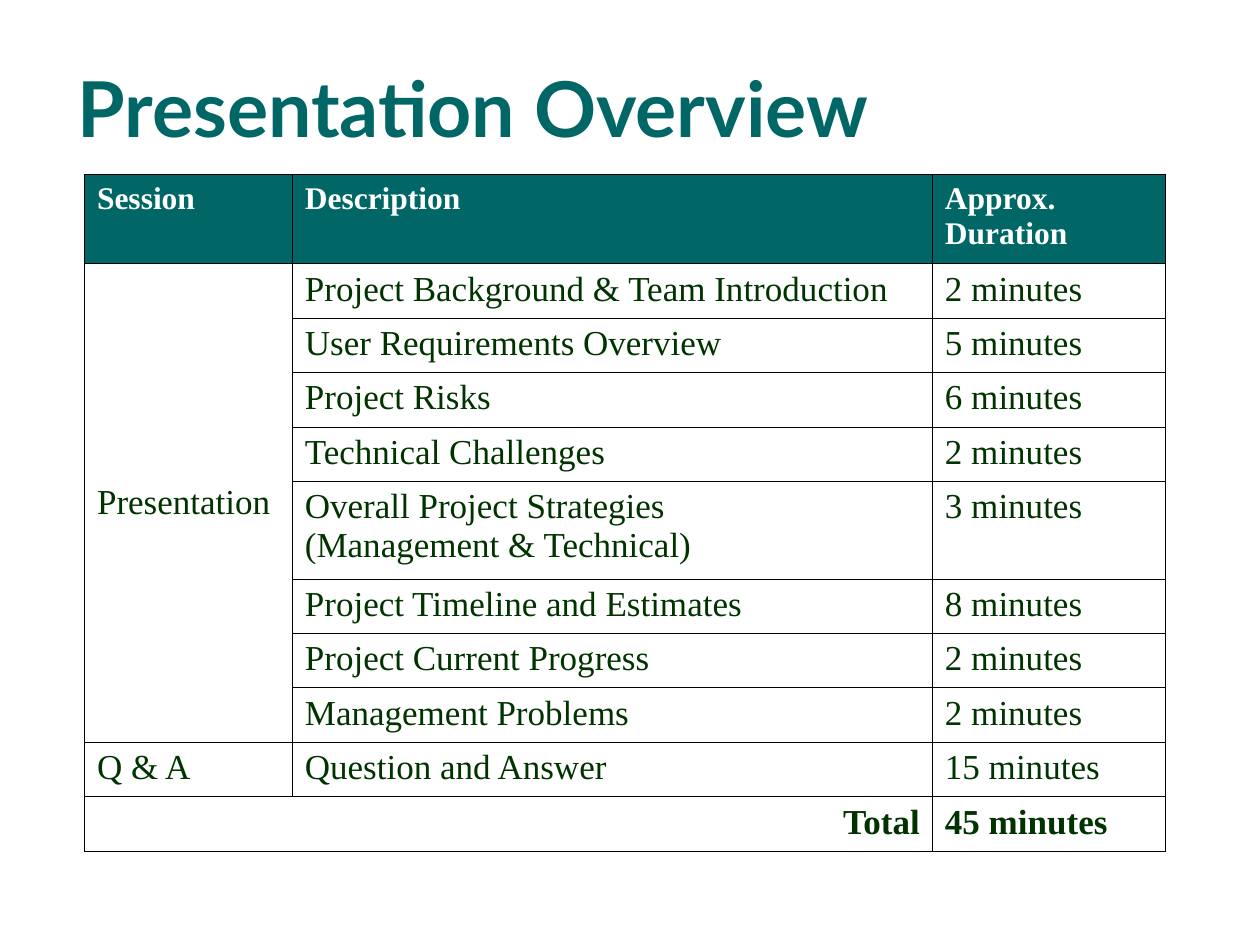
import pptx
import pptx.dml.color
import pptx.enum.text
import pptx.oxml
import pptx.oxml.ns
import pptx.util

TEAL, GREEN, WHITE, BLACK = "006666", "003300", "FFFFFF", "000000"
LEFT, RIGHT = pptx.enum.text.PP_ALIGN.LEFT, pptx.enum.text.PP_ALIGN.RIGHT
TOP, MIDDLE = pptx.enum.text.MSO_ANCHOR.TOP, pptx.enum.text.MSO_ANCHOR.MIDDLE

HEADINGS = ["Session", "Description", "Approx.\nDuration"]
PRESENTATION_ITEMS = [
    ("Project Background & Team Introduction", 2),
    ("User Requirements Overview", 5),
    ("Project Risks", 6),
    ("Technical Challenges", 2),
    ("Overall Project Strategies\n(Management & Technical)", 3),
    ("Project Timeline and Estimates", 8),
    ("Project Current Progress", 2),
    ("Management Problems", 2),
]


def color(value):
    return pptx.dml.color.RGBColor.from_string(value)


def write_text(text_frame, text, font="Times New Roman", size=20, fill=GREEN,
               bold=False, align=LEFT, hanging=0):
    text_frame.text = text
    for paragraph in text_frame.paragraphs:
        paragraph.alignment = align
        if hanging:
            indent = pptx.util.Inches(hanging)
            properties = paragraph._p.get_or_add_pPr()
            properties.set("marL", str(indent))
            properties.set("indent", str(-indent))
        for run in paragraph.runs:
            run.font.name = font
            run.font.size = pptx.util.Pt(size)
            run.font.bold = bold
            run.font.color.rgb = color(fill)


class SlideBuilder:
    def __init__(self, presentation):
        self.width = presentation.slide_width
        self.height = presentation.slide_height
        self.slide = presentation.slides.add_slide(presentation.slide_layouts[5])

    def box(self, left, top, width, height):
        return (int(left * self.width / 100), int(top * self.height / 100),
                int(width * self.width / 100), int(height * self.height / 100))

    def title(self, text, area):
        shape = self.slide.shapes.title
        shape.left, shape.top, shape.width, shape.height = self.box(*area)
        text_frame = shape.text_frame
        text_frame.auto_size = pptx.enum.text.MSO_AUTO_SIZE.NONE
        text_frame.vertical_anchor = MIDDLE
        write_text(text_frame, text, font="Lato", size=44, fill=TEAL, bold=True)

    def table(self, area, columns, rows):
        left, top, width, height = self.box(*area)
        table = self.slide.shapes.add_table(
            len(rows), len(columns), left, top, width, height).table
        table.first_row = table.horz_banding = False
        for column, weight in zip(table.columns, columns):
            column.width = int(width * weight / sum(columns))
        for row, weight in zip(table.rows, rows):
            row.height = int(height * weight / sum(rows))
        for cell in table.iter_cells():
            self.border(cell)
            cell.fill.background()
        return table

    def border(self, cell, width=0.45):
        properties = cell._tc.get_or_add_tcPr()
        for side in ("lnL", "lnR", "lnT", "lnB"):
            properties.append(pptx.oxml.parse_xml(
                f'<a:{side} {pptx.oxml.ns.nsdecls("a")} w="{pptx.util.Pt(width)}">'
                f'<a:solidFill><a:srgbClr val="{BLACK}"/></a:solidFill></a:{side}>'))

    def cell(self, cell, text, background=None, anchor=TOP, **text_format):
        cell.vertical_anchor = anchor
        cell.margin_left = cell.margin_right = pptx.util.Inches(0.1)
        cell.margin_top = cell.margin_bottom = pptx.util.Inches(0.05)
        if background:
            cell.fill.solid()
            cell.fill.fore_color.rgb = color(background)
        write_text(cell.text_frame, text, hanging=0.38, **text_format)


def main():
    presentation = pptx.Presentation()
    presentation.slide_width = pptx.util.Inches(10)
    presentation.slide_height = pptx.util.Inches(7.5)
    builder = SlideBuilder(presentation)
    builder.title("Presentation Overview", (5.15, 4.85, 85.8, 12.8))

    items = PRESENTATION_ITEMS + [("Question and Answer", 15)]
    item_rows = [0.77 if "\n" in text else 0.43 for text, minutes in items]
    table = builder.table((6.7, 18.5, 85.8, 71.6), [1.65, 5.08, 1.85],
                          [0.7] + item_rows + [0.43])
    question_row = len(items)
    total_row = question_row + 1
    table.cell(1, 0).merge(table.cell(question_row - 1, 0))
    table.cell(total_row, 0).merge(table.cell(total_row, 1))

    for column, heading in enumerate(HEADINGS):
        builder.cell(table.cell(0, column), heading, background=TEAL,
                     size=18, fill=WHITE, bold=True)
    for row, (description, minutes) in enumerate(items, start=1):
        builder.cell(table.cell(row, 1), description)
        builder.cell(table.cell(row, 2), f"{minutes} minutes")
    builder.cell(table.cell(1, 0), "Presentation", anchor=MIDDLE)
    builder.cell(table.cell(question_row, 0), "Q & A")
    builder.cell(table.cell(total_row, 0), "Total", bold=True, align=RIGHT)
    total = sum(minutes for description, minutes in items)
    builder.cell(table.cell(total_row, 2), f"{total} minutes", bold=True)
    presentation.save("out.pptx")


if __name__ == "__main__":
    main()
